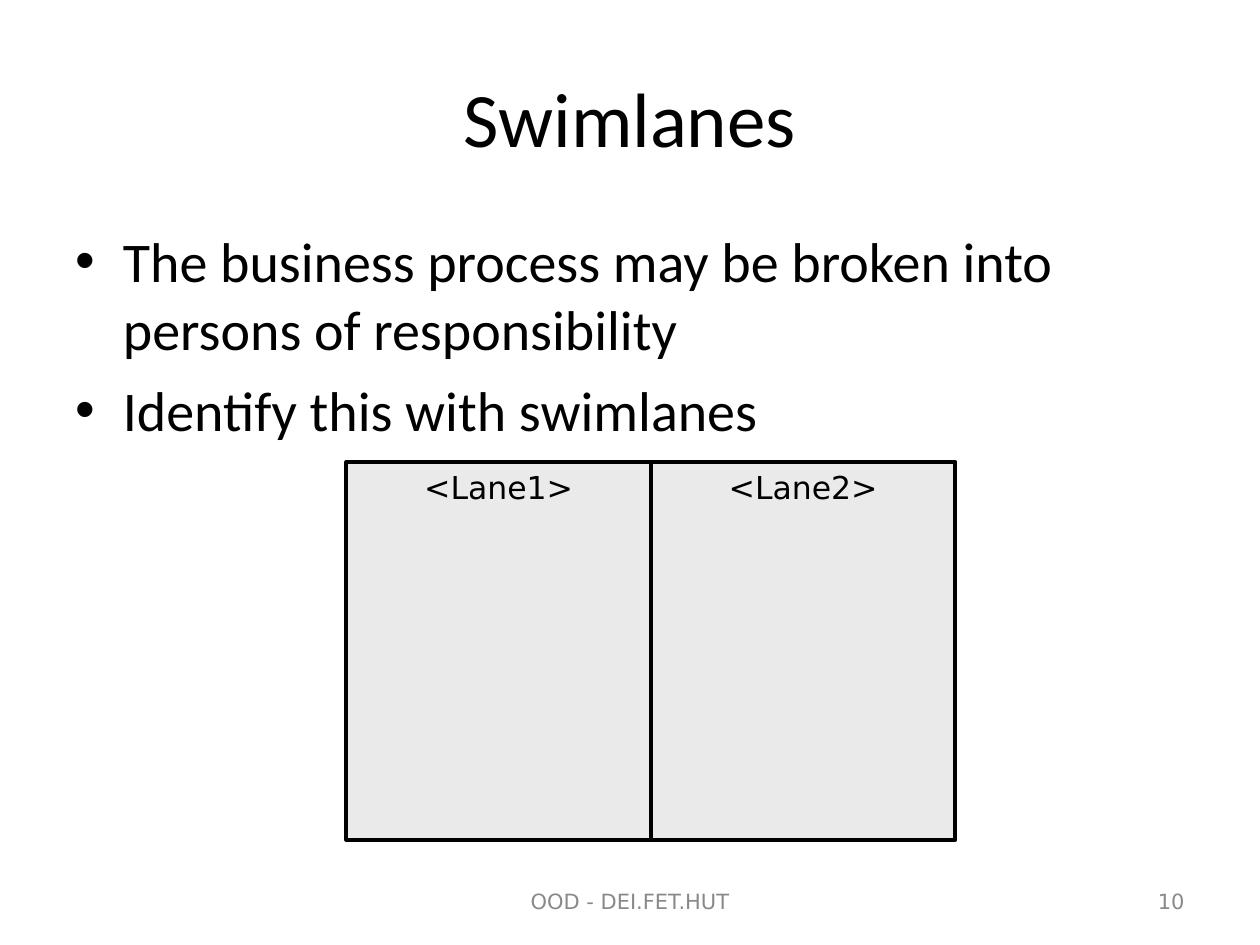
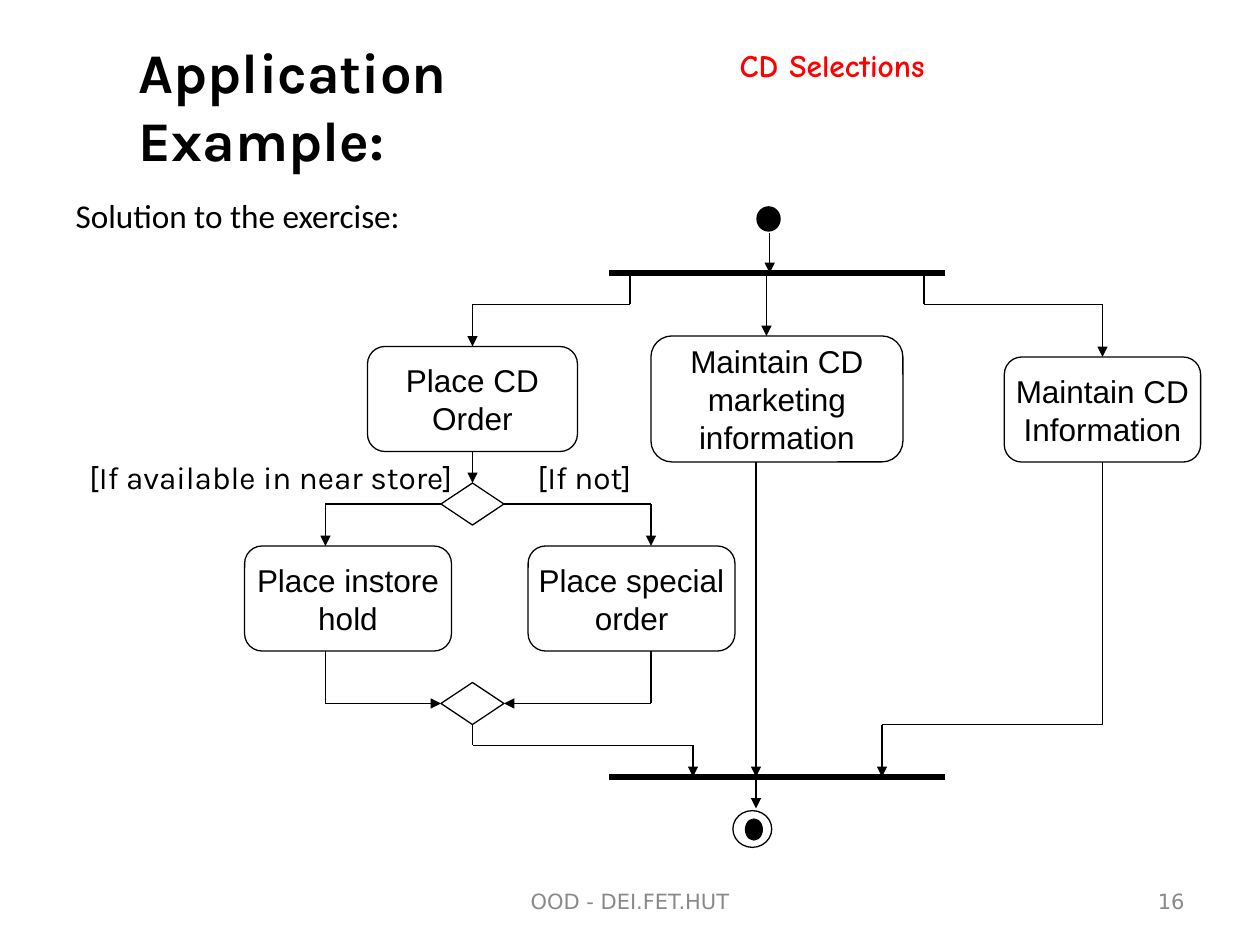
from itertools import pairwise

from pptx import Presentation
from pptx.dml.color import RGBColor
from pptx.enum.shapes import MSO_CONNECTOR, MSO_SHAPE
from pptx.enum.text import MSO_ANCHOR, MSO_AUTO_SIZE, PP_ALIGN
from pptx.oxml.ns import qn
from pptx.util import Inches, Pt
from lxml import etree

RECTANGLE = MSO_SHAPE.RECTANGLE
ROUNDED = MSO_SHAPE.ROUNDED_RECTANGLE
DECISION = MSO_SHAPE.FLOWCHART_DECISION
OVAL = MSO_SHAPE.OVAL
STRAIGHT = MSO_CONNECTOR.STRAIGHT
TOP, MIDDLE = MSO_ANCHOR.TOP, MSO_ANCHOR.MIDDLE
LEFT, CENTER, RIGHT = PP_ALIGN.LEFT, PP_ALIGN.CENTER, PP_ALIGN.RIGHT
SIDE_TOP, SIDE_LEFT, SIDE_BOTTOM, SIDE_RIGHT = range(4)

WIDTH, HEIGHT = Inches(10), Inches(7.5)
COLUMNS, ROWS = 120, 90
BLACK, RED, GREY, LANE_FILL = "000000", "FF0000", "898989", "EAEAEA"
HEADING, PLAIN, DIAGRAM, ACCENT, COMIC = "Calibri", "DejaVu Sans", "Arial", "Karla", "Comic Neue"


def color(value):
    return RGBColor.from_string(value)


class Page:
    def __init__(self, deck, number):
        self.slide = deck.slides.add_slide(deck.slide_layouts[1])
        self.text_box("OOD - DEI.FET.HUT", (41, 83.4, 38, 4.8), PLAIN, 12, GREY, CENTER, MIDDLE)
        self.text_box(str(number), (86, 83.4, 28, 4.8), PLAIN, 12, GREY, RIGHT, MIDDLE)

    def point(self, column, row):
        return round(WIDTH * column / COLUMNS), round(HEIGHT * row / ROWS)

    def place(self, area):
        left, top, width, height = area
        return *self.point(left, top), *self.point(width, height)

    def fill_text(self, shape, lines, font, size, ink=BLACK, align=LEFT, anchor=TOP, bold=False):
        frame = shape.text_frame
        frame.word_wrap = True
        frame.auto_size = MSO_AUTO_SIZE.NONE
        frame.vertical_anchor = anchor
        for index, line in enumerate([lines] if isinstance(lines, str) else lines):
            para = frame.add_paragraph() if index else frame.paragraphs[0]
            para.alignment = align
            span = para.add_run()
            span.text = line
            span.font.name, span.font.size, span.font.bold = font, Pt(size), bold
            span.font.color.rgb = color(ink)
        return frame

    def text_box(self, lines, area, *style, **options):
        box = self.slide.shapes.add_textbox(*self.place(area))
        self.fill_text(box, lines, *style, **options)

    def title(self, lines, area, *style, **options):
        title = self.slide.shapes.title
        title.left, title.top, title.width, title.height = self.place(area)
        self.fill_text(title, lines, *style, **options)

    def body(self, lines, area, size, space, bulleted=True):
        body = self.slide.placeholders[1]
        body.left, body.top, body.width, body.height = self.place(area)
        for para in self.fill_text(body, lines, HEADING, size).paragraphs:
            para.space_before = Pt(space)
            if not bulleted:
                properties = para._p.get_or_add_pPr()
                properties.set("marL", str(Inches(0.75)))
                properties.set("indent", str(Inches(-0.75)))
                etree.SubElement(properties, qn("a:buNone"))

    def shape(self, kind, area, fill=None, weight=0.75):
        shape = self.slide.shapes.add_shape(kind, *self.place(area))
        shape.shadow.inherit = False
        if fill:
            shape.fill.solid()
            shape.fill.fore_color.rgb = color(fill)
        else:
            shape.fill.background()
        shape.line.color.rgb = color(BLACK)
        shape.line.width = Pt(weight)
        return shape

    def activity(self, text, area):
        node = self.shape(ROUNDED, area)
        frame = self.fill_text(node, text, DIAGRAM, 18, align=CENTER, anchor=MIDDLE)
        frame.margin_left = frame.margin_right = frame.margin_top = frame.margin_bottom = 0
        return node

    def line(self, begin, end, weight=1, arrow=False):
        line = self.slide.shapes.add_connector(STRAIGHT, *self.point(*begin), *self.point(*end))
        line.line.color.rgb = color(BLACK)
        line.line.width = Pt(weight)
        if arrow:
            outline = line._element.spPr.find(qn("a:ln"))
            etree.SubElement(outline, qn("a:tailEnd"), type="triangle")
        etree.SubElement(line._element.spPr, qn("a:effectLst"))
        return line

    def route(self, *points, begin=None, end=None, arrow=True, weight=1):
        legs = list(pairwise(points))
        lines = [self.line(*leg, weight, arrow and leg is legs[-1]) for leg in legs]
        if begin:
            lines[0].begin_connect(*begin)
        if end:
            lines[-1].end_connect(*end)


def swimlanes(deck):
    page = Page(deck, 10)
    page.title("Swimlanes", (6, 3.6, 108, 15), HEADING, 44, align=CENTER, anchor=MIDDLE)
    page.body(["The business process may be broken into persons of responsibility",
               "Identify this with swimlanes"], (6, 21, 108, 59.4), 32, 8)
    lane_width = 29
    for index, name in enumerate(["<Lane1>", "<Lane2>"]):
        lane = page.shape(RECTANGLE, (33 + index * lane_width, 44, lane_width, 36), LANE_FILL, 2.25)
        page.fill_text(lane, name, PLAIN, 18, align=CENTER)


def application_example(deck):
    page = Page(deck, 16)
    page.title(["Application", "Example:"], (12, 3, 36, 14), ACCENT, 32, bold=True)
    page.body("Solution to the exercise:", (6, 18, 110, 11), 19, 4.8, bulleted=False)
    page.text_box("CD Selections", (48.4, 3.8, 61.7, 9.2), COMIC, 18, RED, CENTER, bold=True)

    fork, join = 26, 74
    for bar in (fork, join):
        page.line((58, bar), (90, bar), 3)
    page.shape(OVAL, (72.1, 19.7, 2.2, 2.3), BLACK)
    page.shape(OVAL, (69.8, 77.2, 3.7, 3.5))
    page.shape(OVAL, (71, 78, 1.6, 2), BLACK)

    order = page.activity("Place CD Order", (35, 33, 20, 10))
    page.activity("Maintain CD marketing information", (62, 32, 24, 12))
    information = page.activity("Maintain CD Information", (95.65, 34, 18.7, 10))
    page.activity("Place instore hold", (23.3, 52, 19.7, 10))
    page.activity("Place special order", (50.3, 52, 19.7, 10))
    choice = page.shape(DECISION, (42, 46, 6, 4))
    merge = page.shape(DECISION, (42, 65, 6, 4))

    page.route((73.3, 22.2), (73.3, fork), weight=0.75)
    page.route((60, fork), (60, 29), (45, 29), (45, 33), end=(order, SIDE_TOP))
    page.route((73, fork), (73, 32))
    page.route((88, fork), (88, 29), (105, 29), (105, 34), end=(information, SIDE_TOP))
    page.route((45, 43), (45, 46), begin=(order, SIDE_BOTTOM), end=(choice, SIDE_TOP))
    for column, edge, side in ((31, 42, SIDE_LEFT), (62, 48, SIDE_RIGHT)):
        page.route((edge, 48), (column, 48), (column, 52), begin=(choice, side))
        page.route((column, 62), (column, 67), (edge, 67), end=(merge, side))
    page.route((45, 69), (45, 71), (66, 71), (66, join), begin=(merge, SIDE_BOTTOM))
    page.route((72, 44), (72, join))
    page.route((105, 44), (105, 69), (84, 69), (84, join), begin=(information, SIDE_BOTTOM))
    page.route((72, join), (72, 77))

    page.text_box("[If available in near store]", (7.3, 43, 38.3, 4.8), ACCENT, 18)
    page.text_box("[If not]", (50, 43, 12, 4.8), ACCENT, 18)


def main():
    deck = Presentation()
    deck.slide_width, deck.slide_height = WIDTH, HEIGHT
    swimlanes(deck)
    application_example(deck)
    deck.save("out.pptx")


if __name__ == "__main__":
    main()
